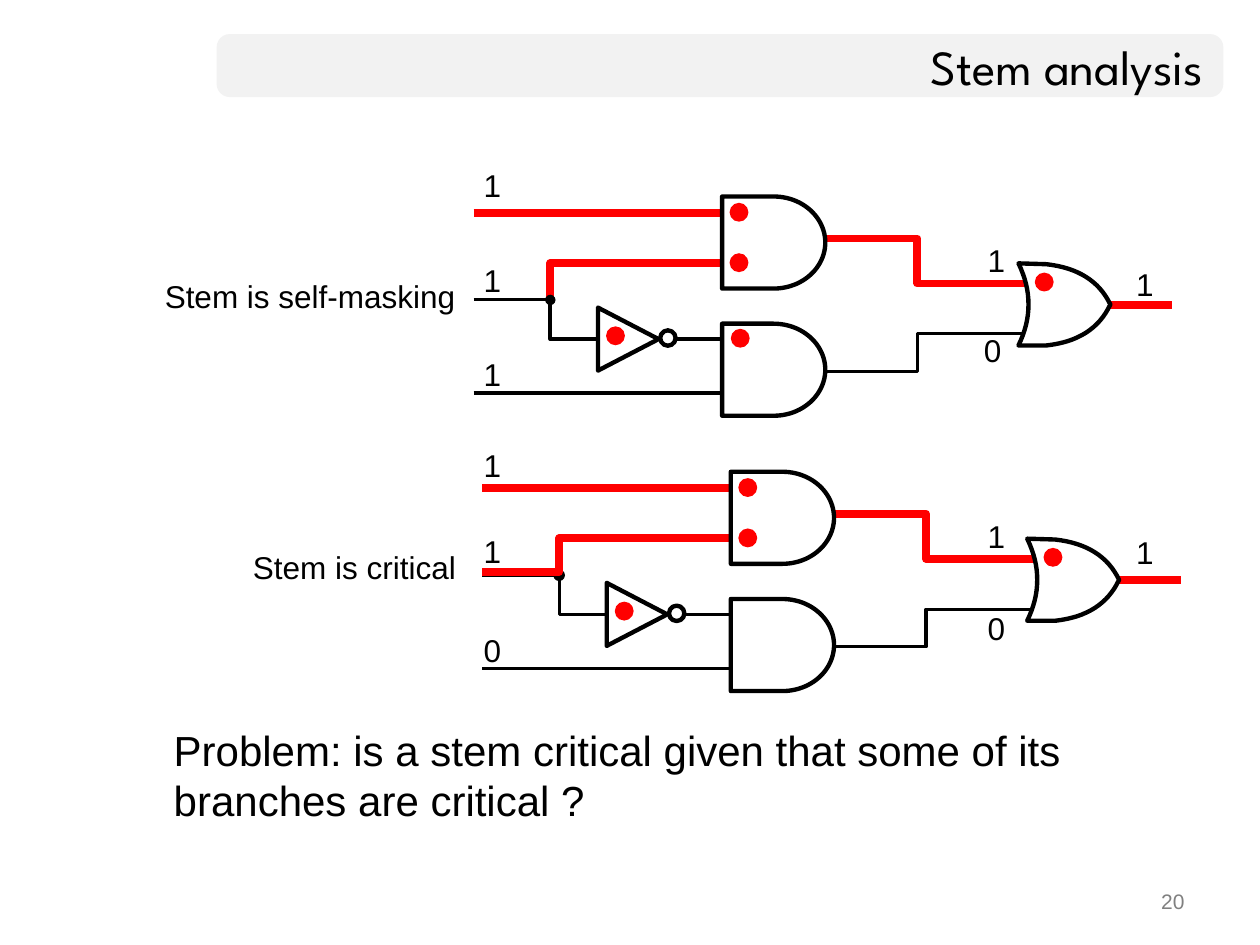
from dataclasses import dataclass

from lxml import etree
from pptx import Presentation
from pptx.dml.color import RGBColor
from pptx.enum.shapes import MSO_CONNECTOR, MSO_SHAPE
from pptx.enum.text import MSO_ANCHOR, MSO_AUTO_SIZE, PP_ALIGN
from pptx.oxml.ns import qn
from pptx.util import Pt

LINE = MSO_CONNECTOR.STRAIGHT
DELAY = MSO_SHAPE.FLOWCHART_DELAY
NODE = MSO_SHAPE.FLOWCHART_CONNECTOR
CONE = MSO_SHAPE.ISOSCELES_TRIANGLE
DOT = MSO_SHAPE.OVAL
ROUND = MSO_SHAPE.ROUNDED_RECTANGLE
LEFT, RIGHT = PP_ALIGN.LEFT, PP_ALIGN.RIGHT
TOP, MIDDLE = MSO_ANCHOR.TOP, MSO_ANCHOR.MIDDLE
FIT, FIXED = MSO_AUTO_SIZE.SHAPE_TO_FIT_TEXT, MSO_AUTO_SIZE.NONE

BLACK, WHITE, RED = "000000", "FFFFFF", "FF0000"
PALE, GRAY = "F2F2F2", "808080"
THIN, MID, EDGE, THICK = 1.75, 2.25, 2.5, 4.5
DOT_SIZE = 10.8

Point = tuple[float, float]


@dataclass(frozen=True)
class Wire:
    points: tuple[Point, ...]
    color: str
    width: float
    dot: bool = False


@dataclass(frozen=True)
class Label:
    text: str
    left: float
    top: float
    width: float = 24.5


@dataclass(frozen=True)
class Circuit:
    dx: float
    dy: float
    wires: tuple[Wire, ...]
    dots: tuple[Point, ...]
    labels: tuple[Label, ...]


BRANCH = ((431.5, 150), (314.5, 150), (314.5, 193.7), (431.5, 193.7))
STEM = ((270.7, 171.4), (314.5, 171.4))
RISE = ((314.5, 150.3), (417, 150.3))
WIRES = (
    Wire(((270.7, 121.7), (415.5, 121.7)), RED, THICK),
    Wire(((626.4, 174.2), (669.6, 174.2)), RED, THICK),
    Wire(((270.7, 224.6), (420.5, 224.6)), BLACK, THIN),
    Wire(((460.8, 136.3), (524.2, 136.3), (524.2, 162), (616.3, 162)), RED, THICK),
    Wire(((460.8, 212.4), (524.2, 212.4), (524.2, 190.8), (616.3, 190.8)), BLACK, THIN),
)
DOTS = ((416.9, 144.7), (346.3, 186.5), (416.9, 115.9), (591.3, 155.8))

CIRCUITS = (
    Circuit(
        0, 0,
        (Wire(BRANCH, BLACK, MID),
         Wire(((314.5, 169.9),) + RISE, RED, THICK),
         Wire(STEM, BLACK, THIN, True)),
        DOTS + ((417.6, 187.9),),
        (Label("1", 557.3, 133.9), Label("0", 555.1, 185.8),
         Label("1", 642.2, 147.6), Label("1", 269.3, 91.4),
         Label("1", 269.3, 199.4), Label("1", 269.3, 145.4),
         Label("Stem is self-masking", 87.1, 154.8, 182.2)),
    ),
    Circuit(
        5, 157.3,
        (Wire(BRANCH, BLACK, THIN),
         Wire(STEM, BLACK, MID, True),
         Wire(((270.7, 169.6), (314.5, 169.6)) + RISE, RED, THICK)),
        DOTS,
        (Label("1", 557.3, 291.6), Label("0", 557.3, 344.2),
         Label("1", 642.2, 301), Label("1", 269.3, 251.3),
         Label("0", 269.3, 357.1), Label("1", 269.3, 300.2),
         Label("Stem is critical", 137.5, 309.6, 131.8)),
    ),
)


def tint(value: str) -> RGBColor:
    return RGBColor.from_string(value)


def write(box, text: str, *, size: float = 18, font: str = "Arial",
          color: str = BLACK, align=LEFT, anchor=TOP,
          wrap: bool = True, fit=FIXED) -> None:
    frame = box.text_frame
    frame.text = text
    frame.word_wrap = wrap
    frame.auto_size = fit
    frame.vertical_anchor = anchor
    line = frame.paragraphs[0]
    line.alignment = align
    line.font.size = Pt(size)
    line.font.name = font
    line.font.color.rgb = tint(color)


def place(shape, left: float, top: float, width: float, height: float) -> None:
    shape.left, shape.top = Pt(left), Pt(top)
    shape.width, shape.height = Pt(width), Pt(height)


def add_box(slide, left: float, top: float, width: float, height: float):
    return slide.shapes.add_textbox(Pt(left), Pt(top), Pt(width), Pt(height))


def paint(shape, fill: str | None, edge: str | None = None, width: float = EDGE) -> None:
    shape.shadow.inherit = False
    if fill:
        shape.fill.solid()
        shape.fill.fore_color.rgb = tint(fill)
    else:
        shape.fill.background()
    if edge:
        shape.line.color.rgb = tint(edge)
        shape.line.width = Pt(width)
    else:
        shape.line.fill.background()


def add_form(slide, kind, left: float, top: float, width: float, height: float,
             fill: str, edge: str | None = None):
    shape = slide.shapes.add_shape(kind, Pt(left), Pt(top), Pt(width), Pt(height))
    paint(shape, fill, edge)
    return shape


def add_path(slide, points: list[Point], closed: bool):
    spots = [(Pt(x), Pt(y)) for x, y in points]
    pen = slide.shapes.build_freeform(*spots[0])
    pen.add_line_segments(spots[1:], close=closed)
    return pen.convert_to_shape()


def add_wire(slide, wire: Wire, dx: float, dy: float) -> None:
    points = [(x + dx, y + dy) for x, y in wire.points]
    if len(points) > 2:
        paint(add_path(slide, points, False), None, wire.color, wire.width)
        return
    ends = [Pt(v) for point in points for v in point]
    link = slide.shapes.add_connector(LINE, *ends)
    link.line.color.rgb = tint(wire.color)
    link.line.width = Pt(wire.width)
    if wire.dot:
        etree.SubElement(link.line._get_or_add_ln(), qn("a:tailEnd"), type="oval")
    etree.SubElement(link._element.spPr, qn("a:effectLst"))


def bend(start: Point, pull: Point, end: Point, steps: int = 16) -> list[Point]:
    parts = [i / steps for i in range(steps + 1)]
    return [tuple((1 - t) ** 2 * a + 2 * t * (1 - t) * b + t * t * c
                  for a, b, c in zip(start, pull, end)) for t in parts]


def add_or(slide, dx: float, dy: float) -> None:
    tip = (634.5, 174)
    points = (bend((598, 151), (625, 154), tip)
              + bend(tip, (625, 194.5), (598, 197.4))
              + bend((582, 197.4), (593.5, 174), (582, 150.5)))
    moved = [(x + dx, y + dy) for x, y in points]
    paint(add_path(slide, moved, True), WHITE, BLACK)


def draw(slide, plan: Circuit) -> None:
    dx, dy = plan.dx, plan.dy
    for wire in plan.wires + WIRES:
        add_wire(slide, wire, dx, dy)
    for top in (112.3, 185):
        add_form(slide, DELAY, 412.6 + dx, top + dy, 59, 52.6, WHITE, BLACK)
    add_form(slide, NODE, 377.3 + dx, 188.8 + dy, 8.8, 8.8, WHITE, BLACK)
    cone = add_form(slide, CONE, 341 + dx, 176.5 + dy, 36, 34.6, WHITE, BLACK)
    cone.rotation = 90
    add_or(slide, dx, dy)
    for x, y in plan.dots:
        add_form(slide, DOT, x + dx, y + dy, DOT_SIZE, DOT_SIZE, RED)
    for label in plan.labels:
        box = add_box(slide, label.left, label.top, label.width, 29)
        write(box, label.text, wrap=False, fit=FIT)


def main() -> None:
    deck = Presentation()
    deck.slide_width, deck.slide_height = Pt(720), Pt(540)
    slide = deck.slides.add_slide(deck.slide_layouts[5])
    title = slide.shapes.title
    place(title, 123.8, 19.5, 571, 36)
    write(title, "Stem analysis", size=28, font="League Spartan",
          align=RIGHT, anchor=MIDDLE)
    band = add_form(slide, ROUND, 123.8, 19.5, 575.3, 36, PALE)
    band.adjustments[0] = 0.21
    title._element.addprevious(band._element)
    for plan in CIRCUITS:
        draw(slide, plan)
    note = add_box(slide, 92.2, 410.4, 561.6, 65.5)
    write(note, "Problem: is a stem critical given that some of its branches are critical ?",
          size=24, fit=FIT)
    page = add_box(slide, 516.2, 504, 167.8, 25.2)
    write(page, "20", size=12, color=GRAY, align=RIGHT)
    deck.save("out.pptx")


if __name__ == "__main__":
    main()
